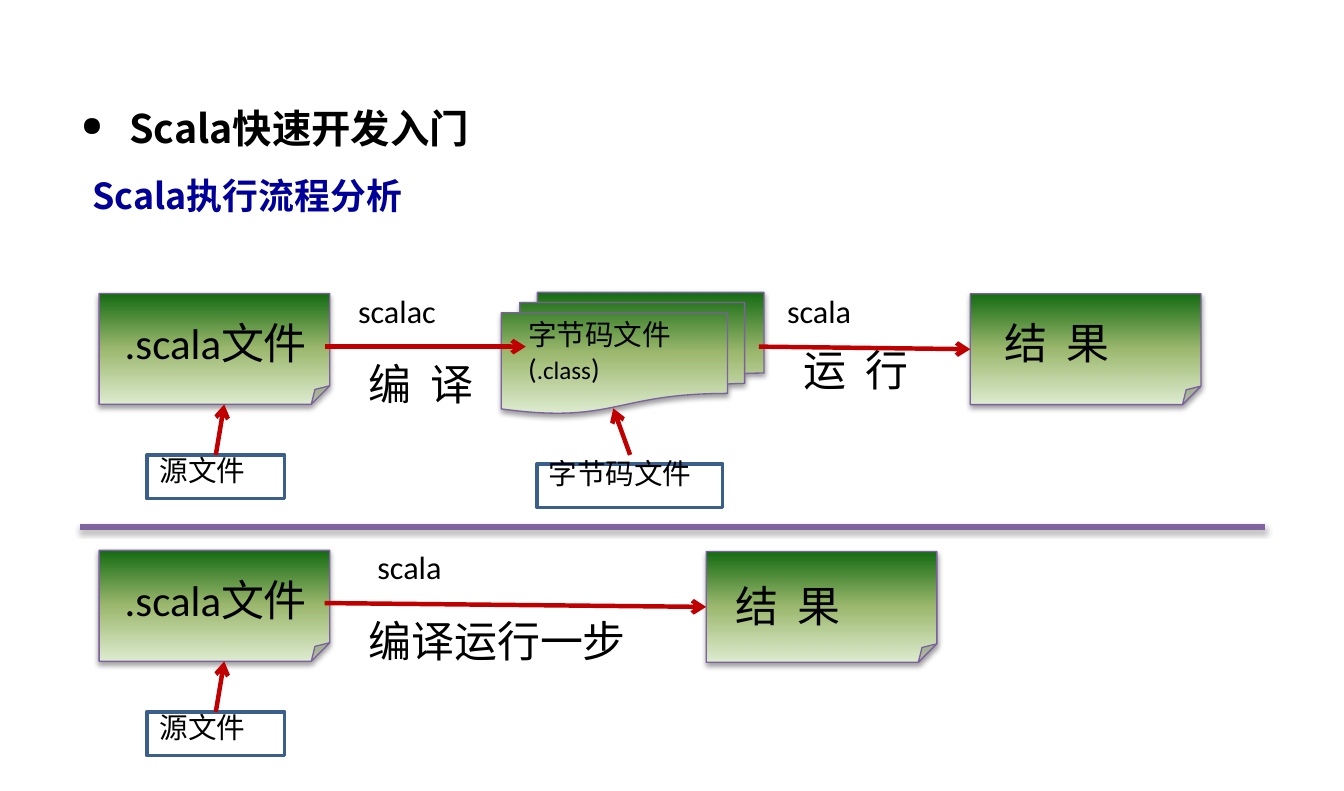
"""Build the slide that explains how Scala source files are compiled and run."""
import copy

import pptx
import pptx.dml.color
import pptx.enum.shapes
import pptx.oxml
import pptx.oxml.ns
import pptx.util

Pt = pptx.util.Pt
RGB = pptx.dml.color.RGBColor.from_string
SHAPE = pptx.enum.shapes.MSO_SHAPE
qn = pptx.oxml.ns.qn
NS = pptx.oxml.ns.nsdecls("a")

COLORS = {
    "text": "000000", "heading": "000099", "arrow": "C00000",
    "label": "3A5F8C", "outline": "7D60A0", "divider": "8064A2",
    "light": "DDEBCF", "mid": "9CB86E", "dark": "156B13",
}
CJK = "Noto Sans CJK SC"
LANES = [0, 143.6]

prs = pptx.Presentation()
prs.slide_width, prs.slide_height = Pt(751), Pt(442)
s = prs.slides.add_slide(prs.slide_layouts[6])


def add_text(x, y, w, h, lines, color="text", font="Calibri", bold=False, spacing=0):
    """Add a text box; each line is a list of (text, size) runs."""
    tf = s.shapes.add_textbox(Pt(x), Pt(y), Pt(w), Pt(h)).text_frame
    tf.word_wrap = True
    tf.margin_top = Pt(3.6 if lines[0][0][0].isascii() else 0.6)
    for i, runs in enumerate(lines):
        p = tf.add_paragraph() if i else tf.paragraphs[0]
        for text, size in runs:
            r = p.add_run()
            r.text = text
            for name, value in {"size": Pt(size), "name": font, "bold": bold}.items():
                setattr(r.font, name, value)
            r.font.color.rgb = RGB(COLORS[color])
            rPr = r._r.get_or_add_rPr()
            rPr.append(pptx.oxml.parse_xml(f'<a:ea {NS} typeface="{CJK}"/>'))
            if spacing:
                rPr.set("spc", str(spacing))
    return tf


def add_line(x1, y1, x2, y2, color="arrow", width=2.5, head=True):
    """Add a straight line, with an arrowhead at its end unless head is False."""
    c = s.shapes.add_connector(
        pptx.enum.shapes.MSO_CONNECTOR.STRAIGHT, Pt(x1), Pt(y1), Pt(x2), Pt(y2))
    c.line.color.rgb = RGB(COLORS[color])
    c.line.width = Pt(width)
    if head:
        c.line._get_or_add_ln().append(
            pptx.oxml.parse_xml(f'<a:tailEnd {NS} type="arrow"/>'))
    c._element.spPr.append(pptx.oxml.parse_xml(f'<a:effectLst {NS}/>'))
    return c


shadow = pptx.oxml.parse_xml(
    f'<a:outerShdw {NS} blurRad="39370" dist="20320" dir="5400000" rotWithShape="0">'
    '<a:srgbClr val="000000"><a:alpha val="38000"/></a:srgbClr></a:outerShdw>')

title = add_text(38.2, 60.5, 597.6, 31, [[("Scala快速开发入门", 22)]], font=CJK, bold=True)
p = title.paragraphs[0]
p.line_spacing = 0.9
pPr = p._p.get_or_add_pPr()
pPr.set("marL", str(Pt(27)))
pPr.set("indent", str(Pt(-27)))
for bullet in ('buClr {}><a:srgbClr val="000000"/></a:buClr>',
               'buSzPct {} val="70000"/>', 'buChar {} char="●"/>'):
    pPr.append(pptx.oxml.parse_xml("<a:" + bullet.format(NS)))
add_text(44.6, 96.5, 662.4, 36, [[("Scala执行流程分析", 20)]], "heading", CJK, True)

documents = [
    (SHAPE.FOLDED_CORNER, 542.2, 164.2, 128.9, 61.9),
    (SHAPE.FLOWCHART_MULTIDOCUMENT, 280.1, 163.4, 146.9, 67.7),
    (SHAPE.FOLDED_CORNER, 394.6, 308.2, 128.9, 61.9),
] + [(SHAPE.FOLDED_CORNER, 55.4, 164 + dy, 128.9, 61.9) for dy in LANES]
shapes = []
for kind, x, y, w, h in documents:
    sp = s.shapes.add_shape(kind, Pt(x), Pt(y), Pt(w), Pt(h))
    sp.fill.gradient()
    sp.fill.gradient_angle = 90
    stops = sp._element.spPr.find(".//" + qn("a:gsLst"))
    stops.append(copy.deepcopy(stops[0]))
    for stop, position, name in zip(sp.fill.gradient_stops, (0, 0.5, 1),
                                    ("light", "mid", "dark")):
        stop.position = position
        stop.color.rgb = RGB(COLORS[name])
    sp.line.color.rgb = RGB(COLORS["outline"])
    sp.line.width = Pt(0.75)
    sp.shadow.inherit = False
    sp._element.spPr.find(qn("a:effectLst")).append(copy.deepcopy(shadow))
    shapes.append(sp)
result, bytecode, direct_result = shapes[:3]

labels = []
for x, y, w in [(82.1, 254.2 + dy, 77) for dy in LANES] + [(300.2, 259.2, 103.7)]:
    sp = s.shapes.add_shape(SHAPE.RECTANGLE, Pt(x), Pt(y), Pt(w), Pt(24.5))
    sp.fill.background()
    sp.line.color.rgb = RGB(COLORS["label"])
    sp.line.width = Pt(2)
    sp.shadow.inherit = False
    labels.append(sp)

for dy, label in zip(LANES, labels):
    add_text(62.6, 176.4 + dy, 124.6, 36, [[(".scala文件", 24)]])
    add_text(82.1, 252.7 + dy, 121, 26.6, [[("源文件", 16)]])
    add_line(119.5, 252.7 + dy, 125.3, 226 + dy).begin_connect(label, 0)

add_text(288, 176.4, 130.3, 46,
         [[("字节码文件", 16)], [("(", 16), (".class", 14), (")", 16)]])
add_text(299.5, 254.2, 136, 26.6, [[("字节码文件", 16)]], font=CJK)

for x, y, text in [(554.4, 176.4, "结 果"), (403.9, 323.3, "结 果"),
                   (198.7, 199.4, "编 译"), (442.1, 191.5, "运 行")]:
    add_text(x, y, 100.8, 36.7, [[(text, 24)]], spacing=270)
add_text(198.7, 342.7, 168.5, 36, [[("编译运行一步", 24)]])

for x, y, command in [(193, 159.1, "scalac"), (432.7, 159.1, "scala"),
                      (203.8, 302.4, "scala")]:
    add_text(x, y, 100.8, 28.8, [[(command, 18)]])

add_line(181.4, 193.7, 293.8, 193.7)
add_line(424.1, 193.7, 542.2, 193.7).end_connect(result, 1)
add_line(181.4, 337, 394.6, 339.1).end_connect(direct_result, 1)
add_line(352.1, 254.2, 342.7, 228.2)

divider = add_line(44.6, 294.5, 707, 294.5, "divider", 3, head=False)
divider._element.spPr.find(qn("a:effectLst")).append(copy.deepcopy(shadow))

prs.save("out.pptx")
